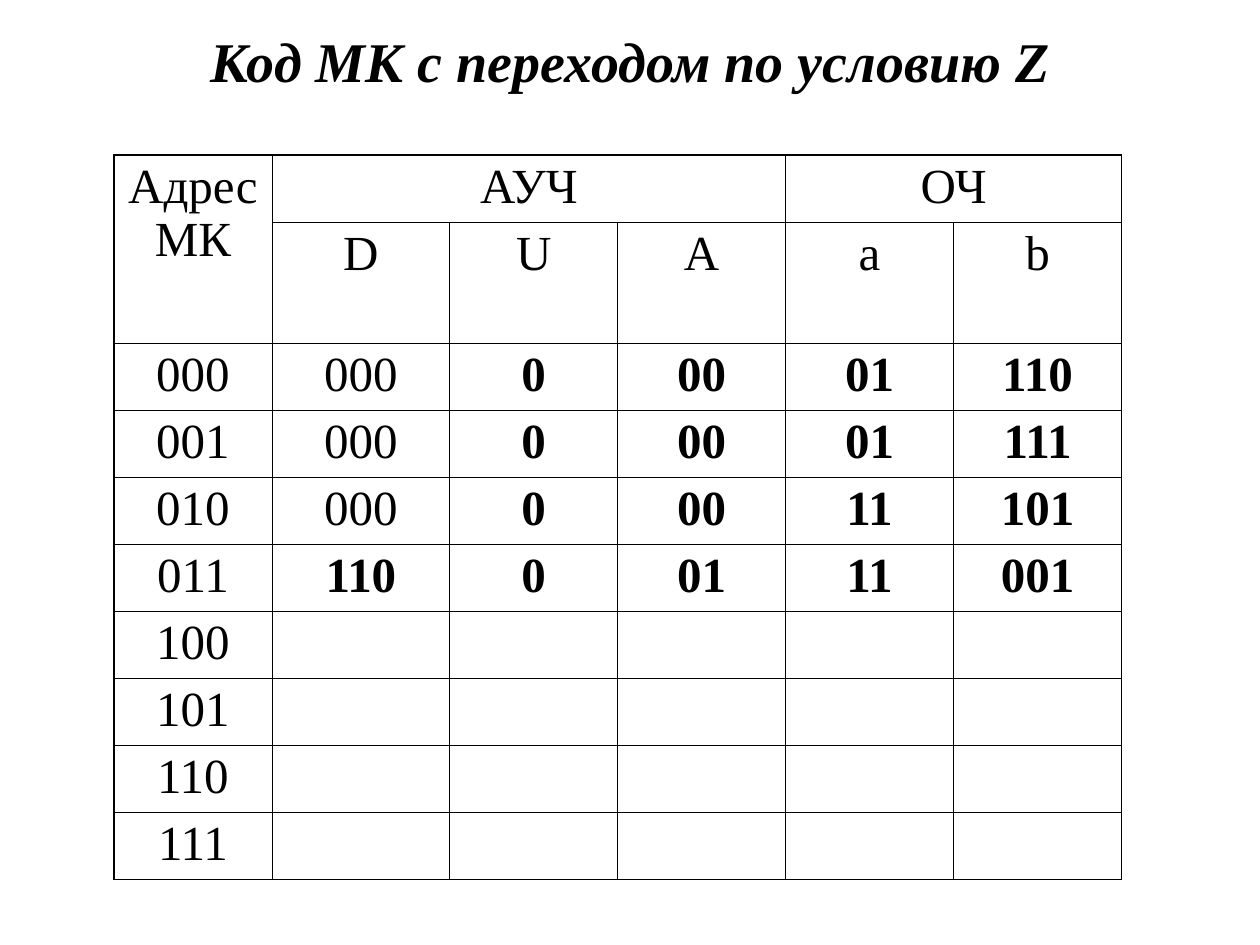
import pptx
import pptx.util
import pptx.dml.color
import pptx.enum.text
from lxml import etree
from pptx.oxml.ns import qn

Pt = pptx.util.Pt

TITLE = "Код МК с переходом по условию Z"
ROWS = [
    ["Адрес\vМК", "АУЧ", "", "", "ОЧ", ""],
    ["", "D", "U", "A", "a", "b"],
    ["000", "000", "0", "00", "01", "110"],
    ["001", "000", "0", "00", "01", "111"],
    ["010", "000", "0", "00", "11", "101"],
    ["011", "110", "0", "01", "11", "001"],
    ["100"],
    ["101"],
    ["110"],
    ["111"],
]
MERGES = [((0, 0), (1, 0)), ((0, 1), (0, 3)), ((0, 4), (0, 5))]
HEADER_ROWS = 2
COL_WIDTHS = [90.5, 101.5] + [96] * 4
ROW_HEIGHTS = [38.35, 69.1] + [38.35] * 8
BLACK = "000000"
OUTER, INNER = 1.08, 0.45
TITLE_FONT = dict(name="Times New Roman", size=Pt(32), bold=True, italic=True)
CELL_FONT = dict(name="Times New Roman", size=Pt(28))


def rgb(value):
    return pptx.dml.color.RGBColor.from_string(value)


def write(p, text, **fmt):
    p.text = text
    p.alignment = pptx.enum.text.PP_ALIGN.CENTER
    for r in p.runs:
        for key, value in fmt.items():
            setattr(r.font, key, value)
        r.font.color.rgb = rgb(BLACK)


def set_borders(cell, widths):
    """Draw cell borders; widths are in points, in the order L, R, T, B."""
    tcPr = cell._tc.get_or_add_tcPr()
    for side, width in zip("LRTB", widths):
        ln = etree.SubElement(tcPr, qn("a:ln" + side), w=str(int(Pt(width))))
        fill = etree.SubElement(ln, qn("a:solidFill"))
        etree.SubElement(fill, qn("a:srgbClr"), val=BLACK)


def is_bold(row, col, text):
    """Data bits are bold, except a zero D field."""
    return row >= HEADER_ROWS and (col > 1 or col == 1 and text != "000")


prs = pptx.Presentation()
prs.slide_width, prs.slide_height = Pt(720), Pt(540)
s = prs.slides.add_slide(prs.slide_layouts[5])

title = s.shapes.title
title.left, title.top, title.width, title.height = Pt(14.4), Pt(9.4), Pt(692), Pt(49.7)
tf = title.text_frame
tf.auto_size = pptx.enum.text.MSO_AUTO_SIZE.NONE
tf.vertical_anchor = pptx.enum.text.MSO_ANCHOR.MIDDLE
write(tf.paragraphs[0], TITLE, **TITLE_FONT)

n_rows, n_cols = len(ROW_HEIGHTS), len(COL_WIDTHS)
table = s.shapes.add_table(n_rows, n_cols, Pt(65), Pt(88.6),
                           Pt(sum(COL_WIDTHS)), Pt(sum(ROW_HEIGHTS))).table
table.first_row = table.horz_banding = False
for column, width in zip(table.columns, COL_WIDTHS):
    column.width = Pt(width)
for row, height in zip(table.rows, ROW_HEIGHTS):
    row.height = Pt(height)
for first, last in MERGES:
    table.cell(*first).merge(table.cell(*last))

for i, texts in enumerate(ROWS):
    for j in range(n_cols):
        cell = table.cell(i, j)
        edges = (j == 0, j + cell.span_width == n_cols, i == 0, i + cell.span_height == n_rows)
        set_borders(cell, [OUTER if edge else INNER for edge in edges])
        cell.fill.background()
        if j < len(texts) and texts[j]:
            p = cell.text_frame.paragraphs[0]
            p.line_spacing = 0.97
            write(p, texts[j], bold=is_bold(i, j, texts[j]), **CELL_FONT)

prs.save("out.pptx")
